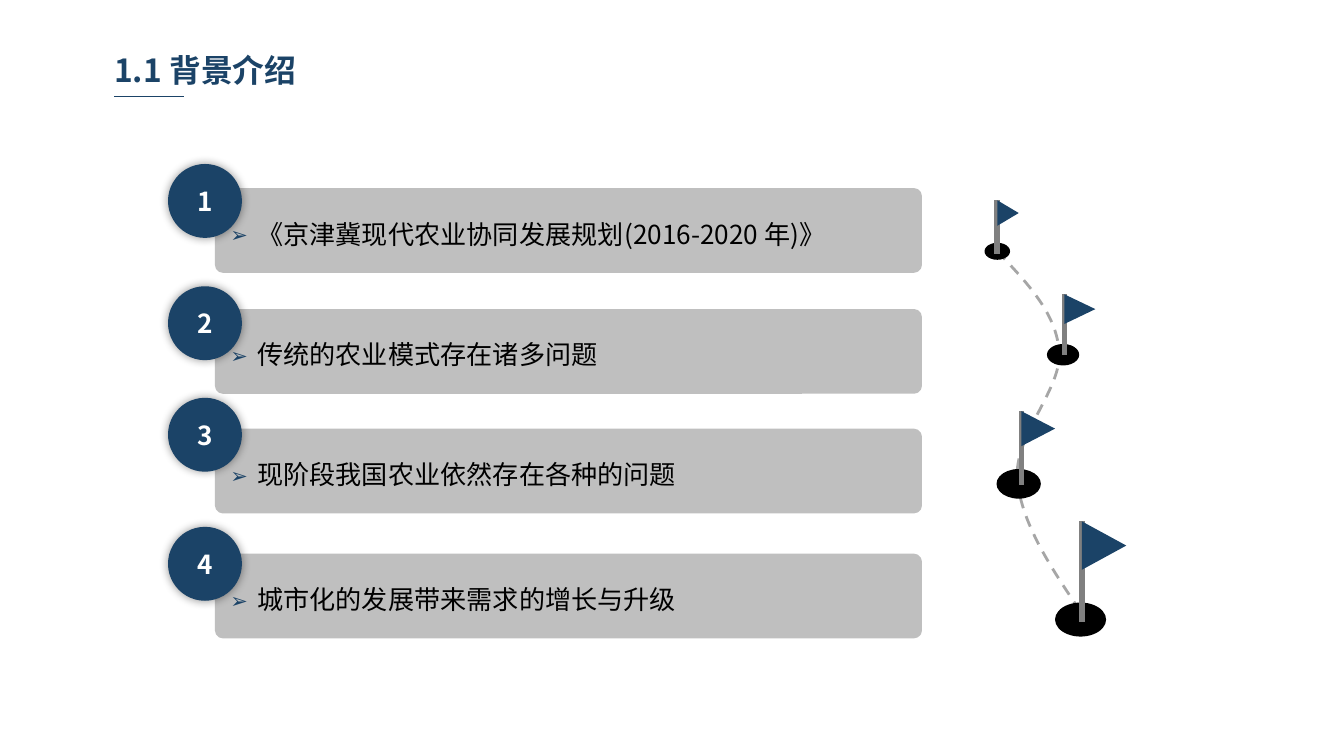
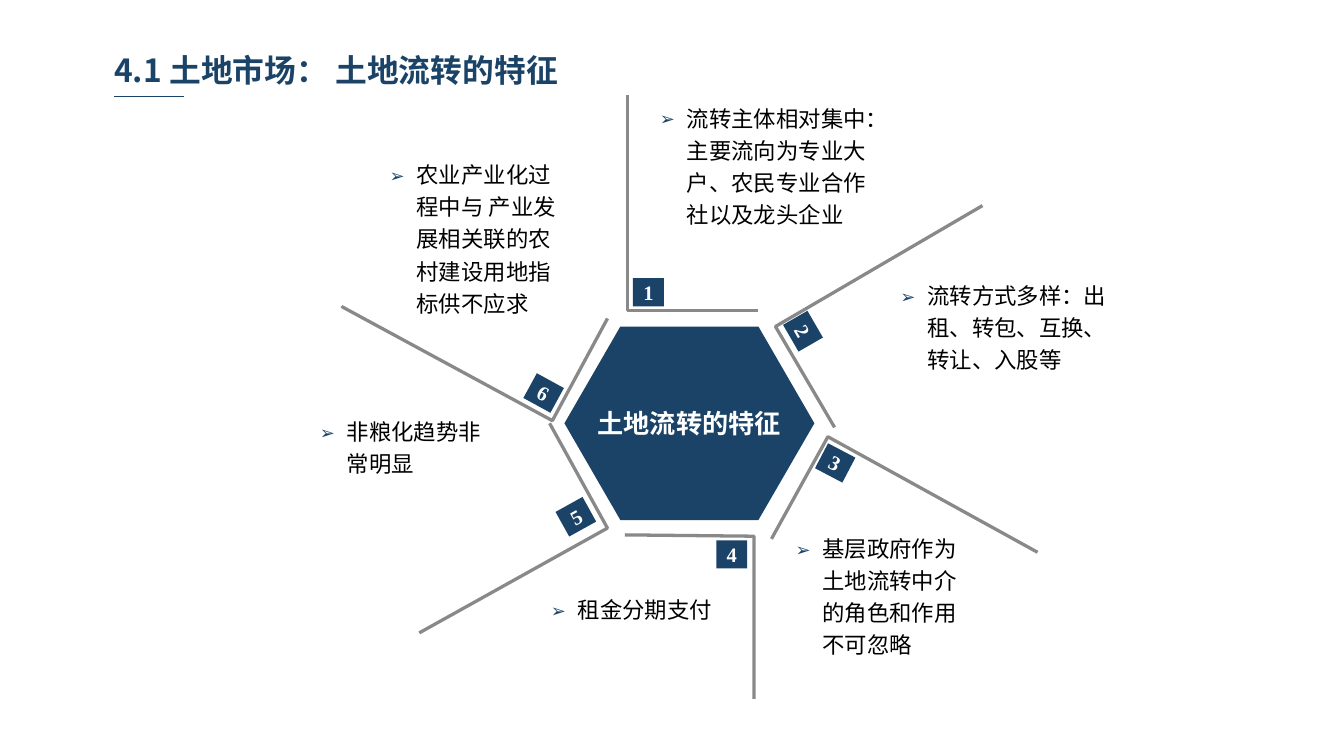
from lxml.etree import SubElement
from pptx import Presentation
from pptx.dml.color import RGBColor
from pptx.enum.dml import MSO_LINE
from pptx.enum.shapes import MSO_CONNECTOR as CONN, MSO_SHAPE as SHAPE
from pptx.enum.text import MSO_ANCHOR as ANCHOR, PP_ALIGN as ALIGN
from pptx.oxml.ns import qn
from pptx.util import Inches, Pt

COLORS = {
    "navy": "1B4367",
    "bar": "BFBFBF",
    "spoke": "898989",
    "trail": "A6A6A6",
    "pole": "808080",
    "black": "000000",
    "white": "FFFFFF",
}
SANS = "Noto Sans CJK SC"
SERIF = "Times New Roman"
WIDE, NARROW = 1.72, 1.54

BACKGROUND = [
    (1.41, 1.22, "《京津冀现代农业协同发展规划(2016-2020 年)》"),
    (2.31, 2.13, "传统的农业模式存在诸多问题"),
    (3.2, 2.96, "现阶段我国农业依然存在各种的问题"),
    (4.13, 3.92, "城市化的发展带来需求的增长与升级"),
]

FLAGS = [
    ((0.1, 0.38), 0.19, 0.1, 0, 0.4, 0.16, 0.19),
    ((0.59, 1.15), 0.24, 0.6, 0.7, 1.15, 0.23, 0.22),
    ((0.26, 2.11), 0.33, 0.28, 1.57, 2.12, 0.25, 0.26),
    ((0.72, 3.12), 0.38, 0.73, 2.39, 3.14, 0.33, 0.36),
]
TRAIL = [
    (0.1, 0.38),
    (0.32, 0.61), (0.54, 0.84), (0.56, 1.12),
    (0.59, 1.4), (0.22, 1.75), (0.25, 2.08),
    (0.28, 2.41), (0.51, 2.75), (0.74, 3.09),
]

SECTORS = [
    ([(3.35, 1.62), (2.38, 1.62), (2.38, 0.02)], (2.42, 1.38), 0,
     (2.53, 0, WIDE, 1.32), "流转主体相对集中：主要流向为专业大户、农民专业合作社以及龙头企业"),
    ([(3.92, 2.49), (3.48, 1.74), (5.02, 0.84)], (3.57, 1.67), 60,
     (4.32, 1.32, WIDE, 1.32), "流转方式多样：出租、转包、互换、转让、入股等"),
    ([(3.45, 3.32), (3.87, 2.56), (5.43, 3.42)], (3.81, 2.65), 27.7,
     (3.54, 3.2, NARROW, 1.32), "基层政府作为土地流转中介的角色和作用不可忽略"),
    ([(2.36, 3.29), (3.32, 3.3), (3.32, 4.51)], (3.04, 3.33), 0,
     (1.72, 3.66, NARROW, 0.58), "租金分期支付"),
    ([(1.8, 2.46), (2.23, 3.24), (0.83, 4.02)], (1.88, 3.05), 331,
     (0, 2.33, NARROW, 1.32), "非粮化趋势非常明显"),
    ([(2.23, 1.68), (1.82, 2.44), (0.25, 1.59)], (1.64, 2.13), 28.7,
     (0.52, 0.42, NARROW, 1.32), "农业产业化过程中与 产业发展相关联的农村建设用地指标供不应求"),
]


def rgb(name):
    return RGBColor.from_string(COLORS[name])


def write(sp, text, size, color, font=SANS, bold=False, align=ALIGN.LEFT,
          inset=(0.09, 0.05), wrap=True):
    tf = sp.text_frame
    tf.text = text
    tf.word_wrap = wrap
    tf.margin_left = tf.margin_right = Inches(inset[0])
    tf.margin_top = tf.margin_bottom = Inches(inset[1])
    p = tf.paragraphs[0]
    p.alignment = align
    r = p.runs[0]
    r.font.name = font
    r.font.size = Pt(size)
    r.font.bold = bold
    r.font.color.rgb = rgb(color)
    SubElement(r.font._element, qn("a:ea")).set("typeface", SANS)
    return p


def add_bullet(p):
    p.line_spacing = 1.2
    p.space_before = p.space_after = Pt(3)
    pPr = p._p.get_or_add_pPr()
    pPr.set("marL", str(Inches(0.2)))
    pPr.set("indent", str(Inches(-0.2)))
    color = SubElement(pPr, qn("a:buClr"))
    SubElement(color, qn("a:srgbClr"), val=COLORS["navy"])
    SubElement(pPr, qn("a:buSzPct"), val="80000")
    SubElement(pPr, qn("a:buFont"), typeface=SANS)
    SubElement(pPr, qn("a:buChar"), char="➢")


def add_block(shapes, kind, x, y, w, h, fill, rotation=0):
    sp = shapes.add_shape(kind, Inches(x), Inches(y), Inches(w), Inches(h))
    sp.shadow.inherit = False
    sp.fill.solid()
    sp.fill.fore_color.rgb = rgb(fill)
    sp.line.fill.background()
    sp.rotation = rotation
    sp.text_frame.vertical_anchor = ANCHOR.MIDDLE
    return sp


def add_line(shapes, x1, y1, x2, y2, color, width):
    c = shapes.add_connector(CONN.STRAIGHT, Inches(x1), Inches(y1), Inches(x2), Inches(y2))
    c.line.color.rgb = rgb(color)
    c.line.width = Pt(width)
    SubElement(c._element.spPr, qn("a:effectLst"))


def add_outline(shapes, x, y, points, color, width):
    pts = [(Inches(x + px), Inches(y + py)) for px, py in points]
    fb = shapes.build_freeform(*pts[0])
    fb.add_line_segments(pts[1:], close=False)
    sp = fb.convert_to_shape()
    sp.shadow.inherit = False
    sp.fill.background()
    sp.line.color.rgb = rgb(color)
    sp.line.width = Pt(width)
    return sp


def bend(sp):
    geom = next(sp._element.iter(qn("a:path")))
    lines = geom.findall(qn("a:lnTo"))
    for i in range(0, len(lines), 3):
        curve = SubElement(geom, qn("a:cubicBezTo"))
        for ln in lines[i:i + 3]:
            curve.append(ln[0])
            geom.remove(ln)


def add_glow(sp):
    effects = sp._element.spPr.find(qn("a:effectLst"))
    shadow = SubElement(effects, qn("a:outerShdw"), blurRad=str(Pt(5)), dist="0", dir="0")
    color = SubElement(shadow, qn("a:srgbClr"), val=COLORS["black"])
    SubElement(color, qn("a:alpha"), val="40000")


def add_title(s, x, y, w, text):
    tb = s.shapes.add_textbox(Inches(x), Inches(y), Inches(w), Inches(0.36))
    write(tb, text, 17, "navy", bold=True, inset=(0.07, 0.04))
    add_line(s.shapes, x + 0.07, y + 0.38, x + 0.59, y + 0.38, "navy", 0.75)


def add_flag_trail(s, x, y):
    shapes = s.shapes.add_group_shape().shapes
    trail = add_outline(shapes, x, y, TRAIL, "trail", 1.5)
    trail.line.dash_style = MSO_LINE.DASH
    bend(trail)
    for (cx, cy), base_w, pole_x, top, bottom, w, h in FLAGS:
        base_h = base_w * 2 / 3
        add_block(shapes, SHAPE.OVAL, x + cx - base_w / 2, y + cy - base_h / 2,
                  base_w, base_h, "black")
        add_line(shapes, x + pole_x, y + top, x + pole_x, y + bottom, "pole", 3)
        add_block(shapes, SHAPE.ISOSCELES_TRIANGLE, x + pole_x + (w - h) / 2,
                  y + top + (h - w) / 2, h, w, "navy", 90)


def add_numbered_bars(s, x):
    for bar_y, _, text in BACKGROUND:
        bar = add_block(s.shapes, SHAPE.ROUNDED_RECTANGLE, x + 0.36, bar_y, 5.24, 0.61, "bar")
        bar.adjustments[0] = 0.082
        bar.line.color.rgb = rgb("bar")
        bar.line.width = Pt(1.5)
        add_bullet(write(bar, text, 14, "black"))
    for i, (_, disc_y, _) in enumerate(BACKGROUND, 1):
        disc = add_block(s.shapes, SHAPE.OVAL, x, disc_y, 0.55, 0.55, "navy")
        add_glow(disc)
        write(disc, str(i), 14, "white", bold=True, align=ALIGN.CENTER, inset=(0.1, 0.05))


def add_hexagon_diagram(s, x, y):
    for i, (spoke, (bx, by), angle, (nx, ny, w, h), text) in enumerate(SECTORS, 1):
        add_outline(s.shapes, x, y, spoke, "spoke", 1.75)
        badge = add_block(s.shapes, SHAPE.RECTANGLE, x + bx, y + by, 0.23, 0.21, "navy", angle)
        write(badge, str(i), 11, "white", SERIF, True, ALIGN.CENTER, (0, 0), False)
        note = s.shapes.add_textbox(Inches(x + nx), Inches(y + ny), Inches(w), Inches(h))
        add_bullet(write(note, text, 12, "black", SERIF))
    core = add_block(s.shapes, SHAPE.HEXAGON, x + 1.91, y + 1.74, 1.86, 1.44, "navy")
    core.adjustments[0] = 0.289
    write(core, "土地流转的特征", 14, "white", SERIF, True, ALIGN.CENTER, wrap=False)


def main():
    prs = Presentation()
    prs.slide_width = Inches(10)
    prs.slide_height = Inches(10 * 9 / 16)
    blank = prs.slide_layouts[6]

    s = prs.slides.add_slide(blank)
    add_title(s, 0.78, 0.34, 2.47, "1.1 背景介绍")
    add_flag_trail(s, 7.32, 1.49)
    add_numbered_bars(s, 1.25)

    s = prs.slides.add_slide(blank)
    add_title(s, 0.78, 0.34, 4.16, "4.1 土地市场： 土地流转的特征")
    add_hexagon_diagram(s, 2.29, 0.69)

    prs.save("out.pptx")


if __name__ == "__main__":
    main()
